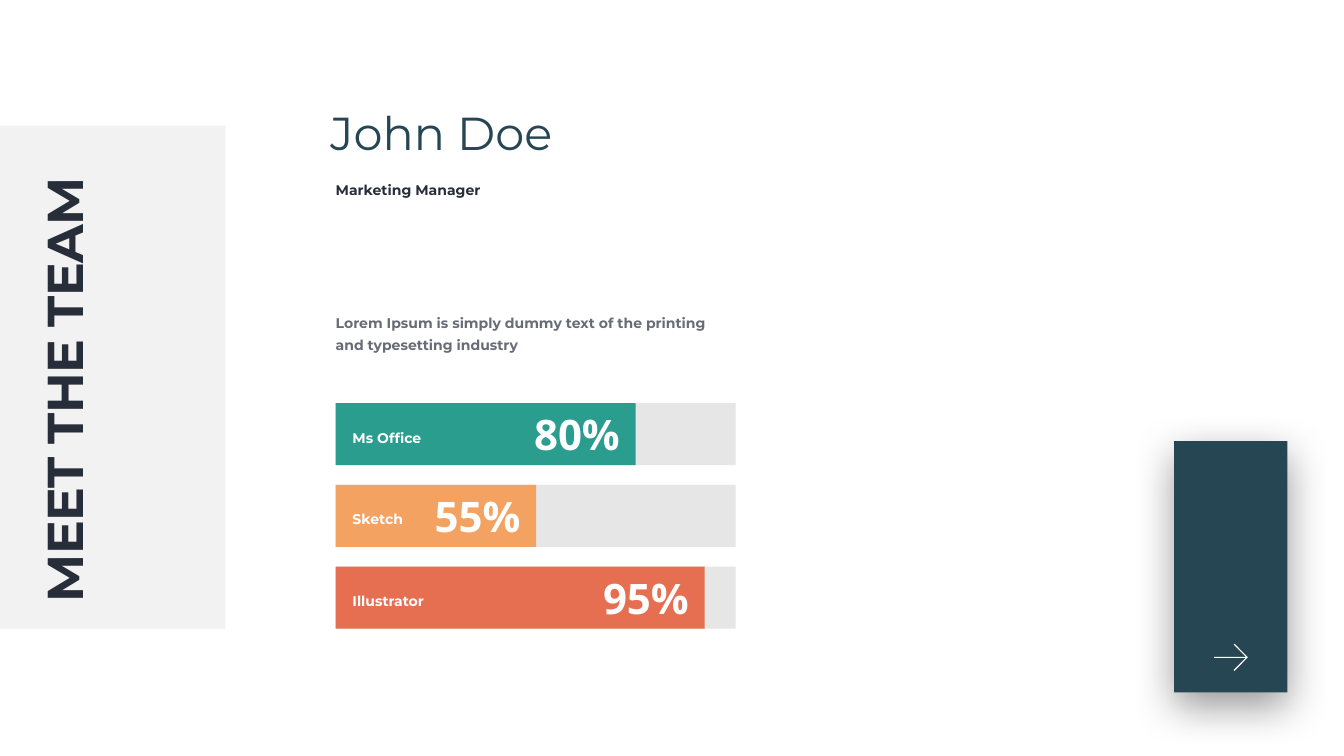
from lxml.etree import SubElement
from pptx import Presentation
from pptx.dml.color import RGBColor
from pptx.enum.shapes import MSO_SHAPE as Geo
from pptx.enum.text import MSO_ANCHOR as Anchor, MSO_AUTO_SIZE as Auto, PP_ALIGN as Align
from pptx.oxml.ns import qn
from pptx.util import Pt

WHITE = RGBColor(0xFF, 0xFF, 0xFF)
PANEL = RGBColor(0xF2, 0xF2, 0xF2)
TRACK = RGBColor(0xE7, 0xE6, 0xE6)
INK = RGBColor(0x27, 0x2E, 0x3A)
NAVY = RGBColor(0x26, 0x46, 0x53)
GREEN = RGBColor(0x2A, 0x9D, 0x8F)
ORANGE = RGBColor(0xF4, 0xA2, 0x61)
CORAL = RGBColor(0xE7, 0x6F, 0x51)

SANS = "Montserrat"
NOTE = (0, 5.75, 34, 5.75)
SKILLS = [
    ("Ms Office", "80%", 428.5, 137.5, GREEN),
    ("Sketch", "55%", 286.5, 106.5, ORANGE),
    ("Illustrator", "95%", 527, 142, CORAL),
]


def paint(shape, color):
    shape.shadow.inherit = False
    shape.fill.solid()
    shape.fill.fore_color.rgb = color
    shape.line.fill.background()
    return shape


def add_rect(slide, x, y, w, h, color):
    return paint(slide.shapes.add_shape(Geo.RECTANGLE, Pt(x), Pt(y), Pt(w), Pt(h)), color)


def write(shape, text, size, color, face=SANS, bold=True, inset=NOTE,
          anchor=Anchor.TOP, align=Align.LEFT, lead=1.0, wrap=True):
    frame = shape.text_frame
    frame.word_wrap = wrap
    frame.vertical_anchor = anchor
    (frame.margin_left, frame.margin_top,
     frame.margin_right, frame.margin_bottom) = map(Pt, inset)
    para = frame.paragraphs[0]
    para.alignment = align
    para.line_spacing = lead
    run = para.add_run()
    run.text = text
    font = run.font
    font.name, font.size, font.bold = face, Pt(size), bold
    font.color.rgb = color
    return run


def add_text(slide, x, y, w, h, text, size, color, grow=False, **style):
    box = slide.shapes.add_textbox(Pt(x), Pt(y), Pt(w), Pt(h))
    run = write(box, text, size, color, **style)
    box.text_frame.auto_size = Auto.SHAPE_TO_FIT_TEXT if grow else Auto.NONE
    return box, run


def add_side(slide, x, y, w, h):
    add_rect(slide, x, y, w, h, PANEL)
    long, deep = 641, 197
    box, run = add_text(slide, x + 132.5 - long / 2, y + h / 2 + 0.5 - deep / 2, long, deep,
                        "MEET THE TEAM", 72, INK, inset=(0, 30, 0, 0), lead=0.8)
    box.rotation = 270
    run._r.get_or_add_rPr().set("spc", "-100")


def add_intro(slide, x, y, w):
    add_text(slide, x - 14.5, y, 641, 197, "John Doe", 66, NAVY, bold=False,
             inset=(7.2, 3.6, 7.2, 3.6), anchor=Anchor.MIDDLE, lead=0.9)
    add_text(slide, x, y + 152, 479, 39.5, "Marketing Manager", 20, INK, grow=True, lead=1.3)
    run = add_text(slide, x, y + 341.5, w, 71,
                   "Lorem Ipsum is simply dummy text of the printing and typesetting industry",
                   20, INK, grow=True, lead=1.3)[1]
    tint = run._r.get_or_add_rPr().find(".//" + qn("a:srgbClr"))
    SubElement(tint, qn("a:alpha"), val="70000")


def add_skills(slide, x, y, w, h):
    high = 88.5
    step = (h - high) / (len(SKILLS) - 1)
    for i, (name, share, part, wide, color) in enumerate(SKILLS):
        top = y + i * step
        add_rect(slide, x, top, w, high, TRACK)
        bar = add_rect(slide, x, top, part, high, color)
        write(bar, share, 60, WHITE, face="Open Sans", inset=(22.5, 3.6, 22.5, 3.6),
              anchor=Anchor.MIDDLE, align=Align.RIGHT)
        add_text(slide, x + 24, top + 24, wide, 39.5, name, 20, WHITE,
                 grow=True, lead=1.3, wrap=False)


def add_next(slide, x, y, w, h):
    card = add_rect(slide, x, y, w, h, NAVY)
    glow = SubElement(card.element.spPr.find(qn("a:effectLst")), qn("a:outerShdw"),
                      blurRad=str(Pt(60)), dist=str(Pt(20)), dir="5400000",
                      algn="t", rotWithShape="0")
    SubElement(SubElement(glow, qn("a:srgbClr"), val="000000"), qn("a:alpha"), val="40000")
    left, mid = x + 57, y + 309
    half = [(0, -0.7), (45.4, -0.7), (28, -18.2), (29.2, -19.4)]
    edge = half + [(48.2, 0)] + [(a, -b) for a, b in reversed(half)]
    dots = [(Pt(left + a), Pt(mid + b)) for a, b in edge]
    path = slide.shapes.build_freeform(*dots[0])
    path.add_line_segments(dots[1:], close=True)
    paint(path.convert_to_shape(), WHITE)


def main():
    deck = Presentation()
    deck.slide_width, deck.slide_height = Pt(1920), Pt(1080)
    slide = deck.slides.add_slide(deck.slide_layouts[6])
    add_side(slide, 0, 179.5, 322, 719)
    add_intro(slide, 479.5, 95, 571.5)
    add_skills(slide, 479.5, 576, 571.5, 322)
    add_next(slide, 1677.5, 630, 161.5, 359)
    deck.save("out.pptx")


if __name__ == "__main__":
    main()
